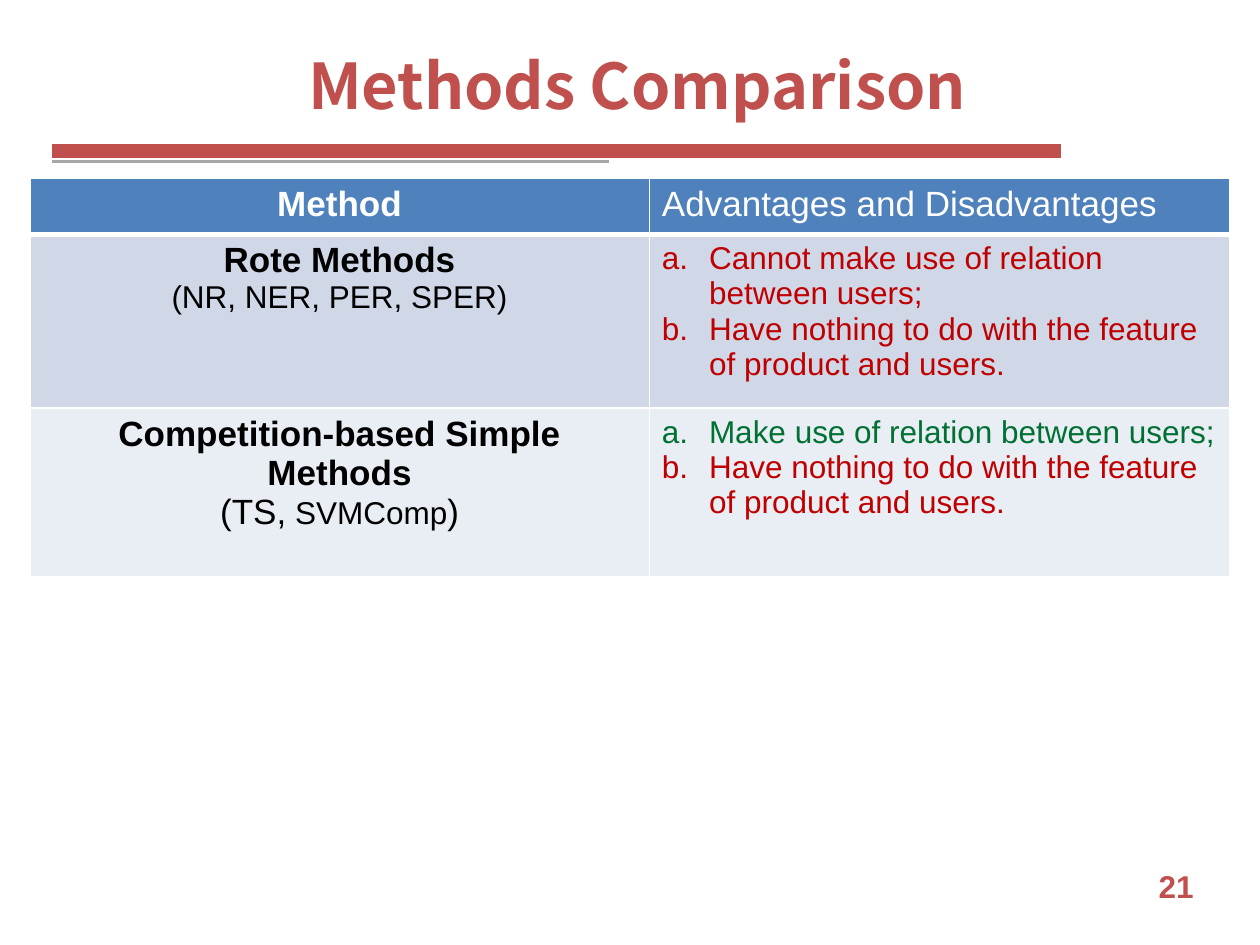
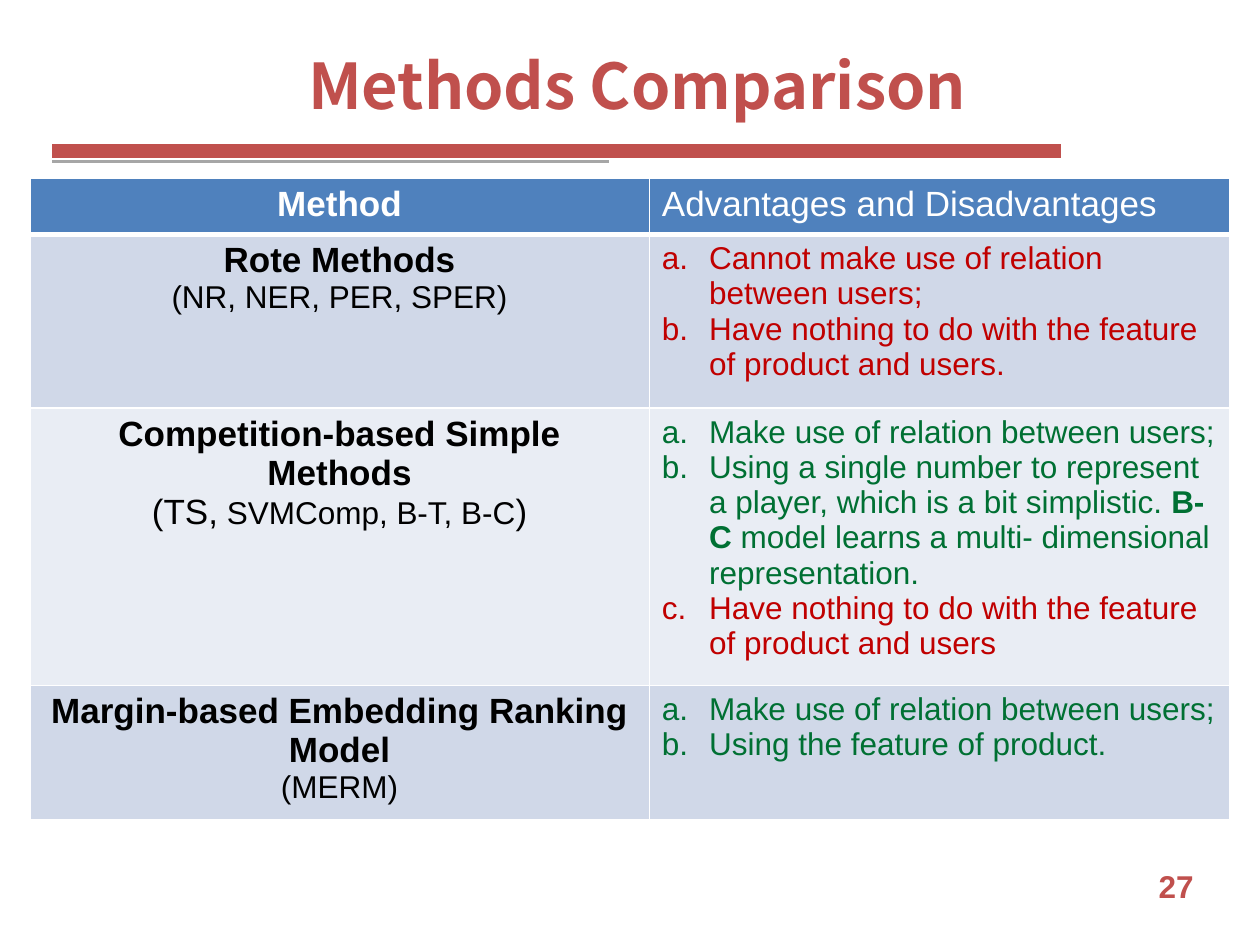
from lxml import etree
from pptx import Presentation
from pptx import util as u
from pptx.dml.color import RGBColor
from pptx.enum import shapes, text
from pptx.oxml import ns

COLOURS = {
    "accent": "C0504D", "rule": "A6A6A6", "header": "4F81BD",
    "band_dark": "D0D8E8", "band_light": "E9EDF4",
    "white": "FFFFFF", "black": "000000", "con": "C00000", "pro": "007033",
}
TITLE = " Methods Comparison"
COLUMNS = (12.49, 11.7)
HEADER_HEIGHT = 1.14
HEADINGS = (("Method", True), ("Advantages and Disadvantages", False))

NO_FEATURES = "Have nothing to do with the feature of product and users"
USES_RELATION = ("pro", "Make use of relation between users;")
ROTE = (3.5, "Rote Methods", [("(NR, NER, PER, SPER)", 18)], [
    ("con", "Cannot make use of relation between users;"),
    ("con", NO_FEATURES + "."),
])


def competition(height, models, verdicts):
    return (height, "Competition-based Simple Methods",
            [("(TS,", 20), (" " + models, 18), (")", 20)],
            [USES_RELATION, *verdicts])


PAGES = [
    ("21", [ROTE, competition(3.4, "SVMComp", [("con", NO_FEATURES + ".")])]),
    ("27", [
        ROTE,
        competition(5.24, "SVMComp, B-T, B-C", [
            ("pro", "Using a single number to represent a player, "
                    "which is a bit simplistic. ", "B-C",
                    " model learns a multi- dimensional representation."),
            ("con", NO_FEATURES),
        ]),
        (2.62, "Margin-based Embedding Ranking Model", [("(MERM)", 18)],
         [USES_RELATION, ("pro", "Using the feature of product.")]),
    ]),
]


class Slides:
    """Holds the deck style and the current page, and draws each kind of element."""

    def __init__(self):
        self.deck = Presentation()
        self.deck.slide_width, self.deck.slide_height = u.Cm(25.4), u.Cm(19.05)
        self.page = None

    def colour(self, name):
        return RGBColor.from_string(COLOURS[name])

    def style(self, font, size, colour, bold=False, face="Arial"):
        font.name, font.size, font.bold = face, u.Pt(size), bold
        font.color.rgb = self.colour(colour)

    def start_page(self, number):
        self.page = self.deck.slides.add_slide(self.deck.slide_layouts[6])
        self.rule(3.05, 21.38, "accent", 8)
        self.rule(3.25, 12.27, "rule", 1.8)
        self.label(number, (22.86, 17.35, 1.7, 1.02), 18, "Arial")
        self.label(TITLE, (1.27, 0.64, 22.86, 2.11), 36, "Noto Sans CJK SC")

    def rule(self, top, right, colour, width):
        line = self.page.shapes.add_connector(
            shapes.MSO_CONNECTOR.STRAIGHT,
            u.Cm(1.05), u.Cm(top), u.Cm(right), u.Cm(top))
        line.line.color.rgb = self.colour(colour)
        line.line.width = u.Pt(width)
        etree.SubElement(line._element.spPr, ns.qn("a:effectLst"))

    def label(self, words, place, size, face):
        box = self.page.shapes.add_textbox(*map(u.Cm, place))
        box.text_frame.word_wrap = True
        box.text_frame.vertical_anchor = text.MSO_ANCHOR.MIDDLE
        para = box.text_frame.paragraphs[0]
        para.text = words
        para.alignment = text.PP_ALIGN.CENTER
        self.style(para.font, size, "accent", True, face)

    def cell(self, cell, fill, bottom=1):
        properties = cell._tc.get_or_add_tcPr()
        for side, width in (("L", 1), ("R", 1), ("T", 1), ("B", bottom)):
            border = etree.SubElement(
                properties, ns.qn(f"a:ln{side}"), w=str(u.Pt(width)))
            solid = etree.SubElement(border, ns.qn("a:solidFill"))
            etree.SubElement(solid, ns.qn("a:srgbClr"), val=COLOURS["white"])
        cell.fill.solid()
        cell.fill.fore_color.rgb = self.colour(fill)

    def method(self, cell, name, models):
        heading = cell.text_frame.paragraphs[0]
        heading.text = name
        self.style(heading.font, 20, "black", True)
        para = cell.text_frame.add_paragraph()
        self.style(para.font, models[0][1], "black")
        for words, size in models:
            span = para.add_run()
            span.text = words
            if len(models) > 1:
                span.font.size = u.Pt(size)
        heading.alignment = para.alignment = text.PP_ALIGN.CENTER

    def verdicts(self, cell, verdicts):
        frame = cell.text_frame
        for index, (colour, *parts) in enumerate(verdicts):
            para = frame.add_paragraph() if index else frame.paragraphs[0]
            self.style(para.font, 18, colour)
            properties = para._p.get_or_add_pPr()
            properties.set("marL", str(u.Cm(0.95)))
            properties.set("indent", str(-u.Cm(0.95)))
            bullet = etree.Element(ns.qn("a:buAutoNum"), type="alphaLcPeriod")
            properties.insert(0, bullet)
            for position, words in enumerate(parts):
                span = para.add_run()
                span.text = words
                if position == 1:
                    span.font.bold = True

    def comparison(self, methods):
        heights = [HEADER_HEIGHT] + [entry[0] for entry in methods]
        table = self.page.shapes.add_table(
            len(heights), len(COLUMNS), u.Cm(0.6), u.Cm(3.59),
            u.Cm(sum(COLUMNS)), u.Cm(sum(heights))).table
        table.first_row = table.horz_banding = False
        for column, width in zip(table.columns, COLUMNS):
            column.width = u.Cm(width)
        for row, height in zip(table.rows, heights):
            row.height = u.Cm(height)
        for column, (words, bold) in enumerate(HEADINGS):
            cell = table.cell(0, column)
            self.cell(cell, "header", 3)
            para = cell.text_frame.paragraphs[0]
            para.text = words
            self.style(para.font, 20, "white", bold)
            if bold:
                para.alignment = text.PP_ALIGN.CENTER
        for row, (_, name, models, verdicts) in enumerate(methods, 1):
            for column in range(len(COLUMNS)):
                self.cell(table.cell(row, column),
                          "band_dark" if row % 2 else "band_light")
            self.method(table.cell(row, 0), name, models)
            self.verdicts(table.cell(row, 1), verdicts)


def main():
    slides = Slides()
    for number, methods in PAGES:
        slides.start_page(number)
        slides.comparison(methods)
    slides.deck.save("out.pptx")


if __name__ == "__main__":
    main()
